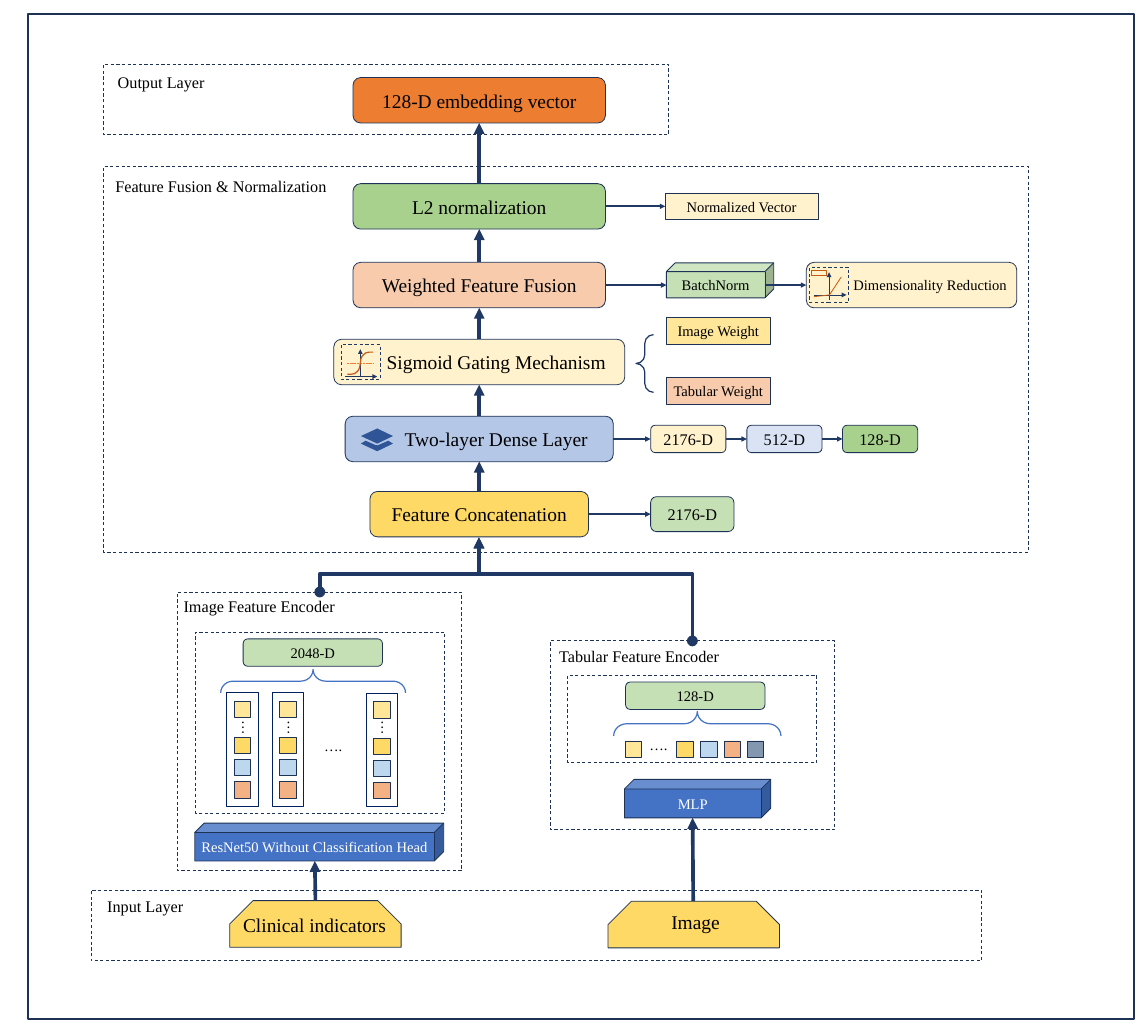
import itertools
import lxml.etree
import pptx
import pptx.dml.color
import pptx.enum.dml
import pptx.enum.shapes
import pptx.enum.text
import pptx.oxml.ns
import pptx.util

# Grid of one-inch cells; MID is the centre column of the main stack
COLS, ROWS, MID, TALL = 19.69, 17.72, 8.22, 0.78
FONT = "Times New Roman"
FORM = pptx.enum.shapes.MSO_SHAPE
DASH = pptx.enum.dml.MSO_LINE
QN = pptx.oxml.ns.qn
TOP, LEFT, BASE, RIGHT = range(4)

hue = pptx.dml.color.RGBColor.from_string
BLACK, WHITE = hue("000000"), hue("FFFFFF")
EDGE, NAVY, DEEP = hue("1E3256"), hue("203864"), hue("002060")
BLUE, ROYAL, SKY, PALE, ICE = map(hue, ("4472C4", "2F5597", "BDD7EE", "B4C7E7", "DAE3F3"))
GOLD, SAND, CREAM = hue("FFD966"), hue("FFE699"), hue("FFF2CC")
GREEN, MINT, SLATE = hue("A9D18E"), hue("C5E0B4"), hue("8497B0")
CORAL, PEACH, AMBER, RUST = hue("F4B183"), hue("F8CBAD"), hue("ED7D31"), hue("C55A11")

# Dashed frames: left, top, width, height
FRAMES = [
    (1.78, 1.1, 9.69, 1.21), (1.78, 2.85, 15.86, 6.62), (1.56, 15.27, 15.28, 1.21),
    (3.04, 10.16, 4.88, 4.78), (3.36, 10.84, 4.27, 3.11),
    (9.44, 10.99, 4.88, 3.24), (9.74, 11.58, 4.27, 1.5),
]
# Main stack, top to bottom: key, text, top, width, fill, left inset
STACK = [
    ("embed", "128-D embedding vector", 1.33, 4.33, AMBER, 0),
    ("norm", "L2 normalization", 3.15, 4.33, GREEN, 0),
    ("fuse", "Weighted Feature Fusion", 4.5, 4.33, PEACH, 0),
    ("gate", "Sigmoid Gating Mechanism", 5.82, 4.99, CREAM, 0.58),
    ("dense", "Two-layer Dense Layer", 7.14, 4.6, PALE, 0.58),
    ("join", "Feature Concatenation", 8.43, 3.75, GOLD, 0),
]
# Side boxes, centred on a stack row: key, text, row, left, width, height, form, fill, size
SIDE = [
    ("unit", "Normalized Vector", "norm", 11.41, 2.62, 0.46, FORM.RECTANGLE, CREAM, 18),
    ("first", "2176-D", "dense", 11.16, 1.29, 0.47, FORM.ROUNDED_RECTANGLE, CREAM, 20),
    ("next", "512-D", "dense", 12.81, 1.29, 0.47, FORM.ROUNDED_RECTANGLE, ICE, 20),
    ("last", "128-D", "dense", 14.45, 1.29, 0.47, FORM.ROUNDED_RECTANGLE, GREEN, 20),
    ("both", "2176-D", "join", 11.16, 1.43, 0.6, FORM.ROUNDED_RECTANGLE, MINT, 20),
]
# Other boxes: text, place, form, fill, text colour
BOXES = [
    ("BatchNorm", (11.43, 4.51, 1.84, 0.6), FORM.CUBE, MINT, BLACK),
    ("Image Weight", (11.43, 5.45, 1.78, 0.46), FORM.RECTANGLE, SAND, BLACK),
    ("Tabular Weight", (11.43, 6.48, 1.78, 0.46), FORM.RECTANGLE, PEACH, BLACK),
    ("2048-D", (4.17, 10.96, 2.39, 0.47), FORM.ROUNDED_RECTANGLE, MINT, BLACK),
    ("128-D", (10.73, 11.7, 2.39, 0.47), FORM.ROUNDED_RECTANGLE, MINT, BLACK),
    ("ResNet50 Without Classification Head", (3.34, 14.12, 4.27, 0.65), FORM.CUBE, BLUE, WHITE),
    ("MLP", (10.71, 13.37, 2.51, 0.66), FORM.CUBE, BLUE, WHITE),
]
INPUTS = [(3.94, 15.45, 2.94, 0.8), (10.43, 15.46, 2.94, 0.8)]
# Labels: text, place, size, centred, turn
LABELS = [
    ("Output Layer", (1.92, 1.19, 2.02, 0.44), 20, False, 0),
    ("Feature Fusion & Normalization", (1.88, 2.98, 4.24, 0.44), 20, False, 0),
    ("Image Feature Encoder", (3.05, 10.18, 3.1, 0.44), 20, False, 0),
    ("Tabular Feature Encoder", (9.49, 11.04, 4.39, 0.44), 20, False, 0),
    ("Input Layer", (1.74, 15.32, 2.03, 0.44), 20, False, 0),
    ("Clinical indicators", (4.07, 15.61, 2.7, 0.5), 24, False, 0),
    ("Image", (10.58, 15.57, 2.7, 0.5), 24, True, 0),
    ("….", (5.46, 12.59, 0.79, 0.43), 18, False, 0),
    ("….", (11.04, 12.57, 0.53, 0.43), 18, False, 0),
]
# Feature strips (centre, top) and the tiles inside them (drop, fill)
STRIPS = [(4.16, 11.88), (4.94, 11.88), (6.55, 11.89)]
TILES = [(0.15, SAND), (0.77, GOLD), (1.15, SKY), (1.53, CORAL)]
CELLS = [(10.73, SAND), (11.61, GOLD), (12.02, SKY), (12.42, CORAL), (12.82, SLATE)]
TILE, ROW = 0.28, 12.71
# Braces: place, turn, curl, colour
BRACES = [
    ((5.17, 10.1, 0.4, 3.17), 90, 0.53, BLUE),
    ((11.75, 10.98, 0.42, 2.87), 90, 0.53, BLUE),
    ((10.91, 5.74, 0.3, 0.99), 0, 0.5, NAVY),
]
# Icons: frames (place, colour, width, dash), lines (from, to, colour, dash, tip), outlines
PANES = [
    ((5.85, 5.91, 0.67, 0.6), NAVY, 1, DASH.DASH),
    ((13.89, 4.59, 0.67, 0.6), NAVY, 1, DASH.DASH),
    ((13.92, 4.64, 0.25, 0.08), RUST, 0.5, DASH.ROUND_DOT),
]
STROKES = [
    ((6.18, 6.46), (6.18, 5.99), NAVY, None, "triangle"),
    ((5.92, 6.46), (6.47, 6.46), NAVY, None, "triangle"),
    ((5.95, 6.23), (6.42, 6.23), AMBER, DASH.SQUARE_DOT, None),
    ((14.22, 5.14), (14.22, 4.67), NAVY, None, "triangle"),
    ((13.96, 5.06), (14.52, 5.06), NAVY, None, "triangle"),
    ((13.96, 5.09), (14.22, 5.06), RUST, None, None),
    ((14.22, 5.07), (14.43, 4.75), RUST, None, None),
]
CURVE = [(5.96, 6.42), (6.02, 6.42), (6.08, 6.41), (6.12, 6.38), (6.15, 6.35), (6.17, 6.3), (6.18, 6.23)]
SHEETS = [
    [(6.19, 7.48), (6.47, 7.35), (6.74, 7.48), (6.47, 7.61)],
    [(6.19, 7.61), (6.27, 7.56), (6.43, 7.63), (6.47, 7.64), (6.5, 7.63),
     (6.66, 7.56), (6.74, 7.61), (6.47, 7.74)],
]
# Arrows: an end is a point or a (key, side) pair
LINKS = [
    (("norm", RIGHT), ("unit", LEFT), 2.25), (("fuse", RIGHT), (11.43, 4.89), 2.25),
    ((13.13, 4.89), ("reduce", LEFT), 2.25), (("dense", RIGHT), ("first", LEFT), 2.25),
    (("first", RIGHT), ("next", LEFT), 2.25), (("next", RIGHT), ("last", LEFT), 2.25),
    (("join", RIGHT), ("both", LEFT), 2.25),
    ((5.41, 15.45), (5.4, 14.77), 4.5), ((11.89, 15.46), (11.88, 14.03), 4.5),
]
# Elbows before turning: place, turn, flips, bend
ELBOWS = [
    ((6.38, 8.32, 0.94, 2.73), 90, ("flipH", "flipV"), 0.33),
    ((9.16, 8.28, 1.77, 3.66), 270, ("flipV",), 0.65),
]

deck = pptx.Presentation()
deck.slide_width, deck.slide_height = pptx.util.Inches(COLS), pptx.util.Inches(ROWS)
slide = deck.slides.add_slide(deck.slide_layouts[6])
parts = {}


def span(vals):
    return [pptx.util.Inches(v) for v in vals]


def pen(item, tint, width, dash=None):
    item.line.fill.solid()
    item.line.fill.fore_color.rgb = tint
    for name, val in dict(width=pptx.util.Pt(width), dash_style=dash).items():
        setattr(item.line, name, val)


def write(item, text, size, tint=BLACK, align=None):
    para = item.text_frame.paragraphs[0]
    run = para.add_run()
    run.text = text
    if align is not None:
        para.alignment = align
    for name, val in dict(size=pptx.util.Pt(size), name=FONT, bold=False).items():
        setattr(run.font, name, val)
    run.font.color.rgb = tint


def paint(item, fill):
    item.shadow.inherit = False
    if fill is None:
        item.fill.background()
    else:
        item.fill.solid()
        item.fill.fore_color.rgb = fill


def block(form, place, fill=None, tint=EDGE, width=1, dash=None):
    item = slide.shapes.add_shape(form, *span(place))
    paint(item, fill)
    pen(item, tint, width, dash)
    for side in ("margin_left", "margin_right"):
        setattr(item.text_frame, side, 0)
    return item


def label(text, place, size, mid, turn):
    item = slide.shapes.add_textbox(*span(place))
    form = dict(word_wrap=True, auto_size=pptx.enum.text.MSO_AUTO_SIZE.SHAPE_TO_FIT_TEXT)
    for name, val in form.items():
        setattr(item.text_frame, name, val)
    write(item, text, size, align=pptx.enum.text.PP_ALIGN.CENTER if mid else None)
    item.rotation = turn


def wire(start, end, tint, width, dash=None, tip="triangle", head=None, kind="STRAIGHT"):
    spots = [(0, 0) if isinstance(e[0], str) else e for e in (start, end)]
    item = slide.shapes.add_connector(
        getattr(pptx.enum.shapes.MSO_CONNECTOR, kind), *span(spots[0] + spots[1]))
    for stop, glue in ((start, item.begin_connect), (end, item.end_connect)):
        if isinstance(stop[0], str):
            glue(parts[stop[0]], stop[1])
    pen(item, tint, width, dash)
    props = item._element.spPr
    for tag, mark in (("a:headEnd", head), ("a:tailEnd", tip)):
        if mark:
            lxml.etree.SubElement(props.find(QN("a:ln")), QN(tag), type=mark)
    lxml.etree.SubElement(props, QN("a:effectLst"))
    return props


def outline(loops, closed, fill):
    loops = [[span(dot) for dot in loop] for loop in loops]
    build = slide.shapes.build_freeform(*loops[0][0])
    for num, loop in enumerate(loops):
        if num:
            build.move_to(*loop[0])
        build.add_line_segments(loop[1:], close=closed)
    item = build.convert_to_shape()
    paint(item, fill)
    return item


# Page border and dashed frames
block(FORM.RECTANGLE, (0.48, 0.24, 18.97, 17.24), width=3)
for place in INPUTS:
    item = block(FORM.SNIP_2_SAME_RECTANGLE, place, GOLD)
    item.adjustments[0], item.adjustments[1] = 0.5, 0
for place in FRAMES:
    block(FORM.RECTANGLE, place, dash=DASH.DASH)

# Main stack and its side boxes
rows = {}
for key, text, top, wide, fill, inset in STACK:
    rows[key] = top + TALL / 2
    parts[key] = block(FORM.ROUNDED_RECTANGLE, (MID - wide / 2, top, wide, TALL), fill)
    parts[key].text_frame.margin_left = pptx.util.Inches(inset)
    write(parts[key], text, 24)
for key, text, row, left, wide, high, form, fill, size in SIDE:
    parts[key] = block(form, (left, rows[row] - high / 2, wide, high), fill)
    write(parts[key], text, size)
parts["reduce"] = block(FORM.ROUNDED_RECTANGLE, (13.83, 4.5, 3.61, TALL), CREAM)
parts["reduce"].text_frame.margin_left = pptx.util.Inches(0.77)
write(parts["reduce"], "Dimensionality Reduction", 18, align=pptx.enum.text.PP_ALIGN.LEFT)
for text, place, form, fill, tint in BOXES:
    write(block(form, place, fill), text, 18, tint)

# Feature strips, cells and braces
for mid, top in STRIPS:
    block(FORM.RECTANGLE, (mid - 0.27, top, 0.54, 1.95), tint=DEEP, width=1.5)
    for drop, fill in TILES:
        block(FORM.RECTANGLE, (mid - TILE / 2, top + drop, TILE, TILE), fill)
    label("…", (mid - 0.12, top + 0.36, 0.4, 0.43), 18, False, 90)
for left, fill in CELLS:
    block(FORM.RECTANGLE, (left, ROW, TILE, TILE), fill)
for place, turn, curl, tint in BRACES:
    item = block(FORM.LEFT_BRACE, place, tint=tint, width=1.5)
    item.rotation = turn
    item.adjustments[0], item.adjustments[1] = curl, 0.5

# Icons
for place, tint, width, dash in PANES:
    block(FORM.RECTANGLE, place, tint=tint, width=width, dash=dash)
for start, end, tint, dash, tip in STROKES:
    wire(start, end, tint, 1, dash, tip)
turned = [(2 * 6.18 - x, 2 * 6.23 - y) for x, y in reversed(CURVE[:-1])]
pen(outline([CURVE + turned], False, None), RUST, 1.5)
outline(SHEETS, True, ROYAL).line.fill.background()

# Labels and arrows
for entry in LABELS:
    label(*entry)
for upper, lower in itertools.pairwise(STACK):
    wire((lower[0], TOP), (upper[0], BASE), NAVY, 4.5)
for start, end, width in LINKS:
    wire(start, end, NAVY, width)
for (left, top, wide, high), turn, flips, bend in ELBOWS:
    props = wire((left, top), (left + wide, top + high), NAVY, 4.5, head="oval", kind="ELBOW")
    frame = props.find(QN("a:xfrm"))
    frame.set("rot", str(turn * 60000))
    for flip in flips:
        frame.set(flip, "1")
    lxml.etree.SubElement(props.find(".//" + QN("a:avLst")), QN("a:gd"),
                          name="adj1", fmla=f"val {round(bend * 100000)}")

deck.save("out.pptx")
